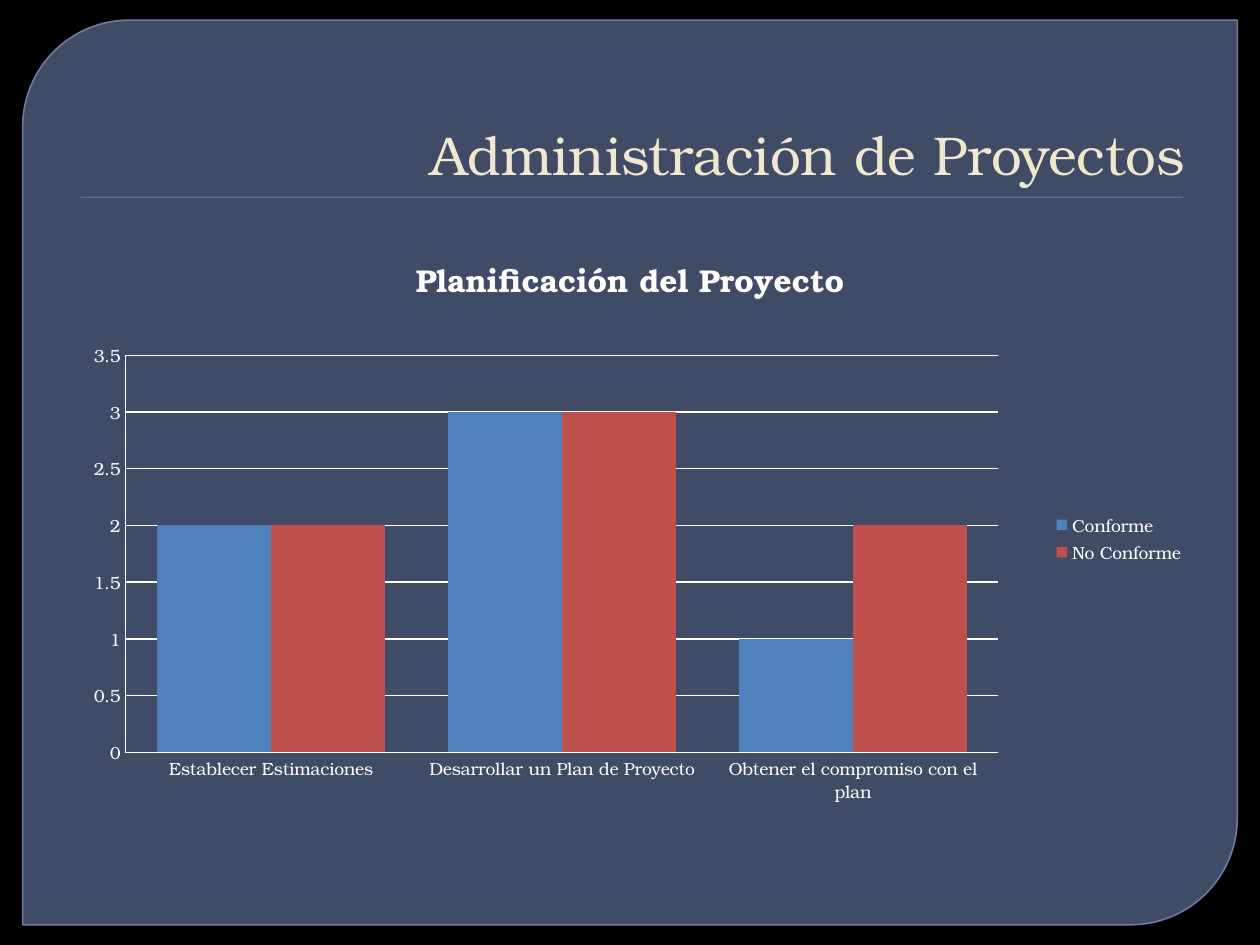
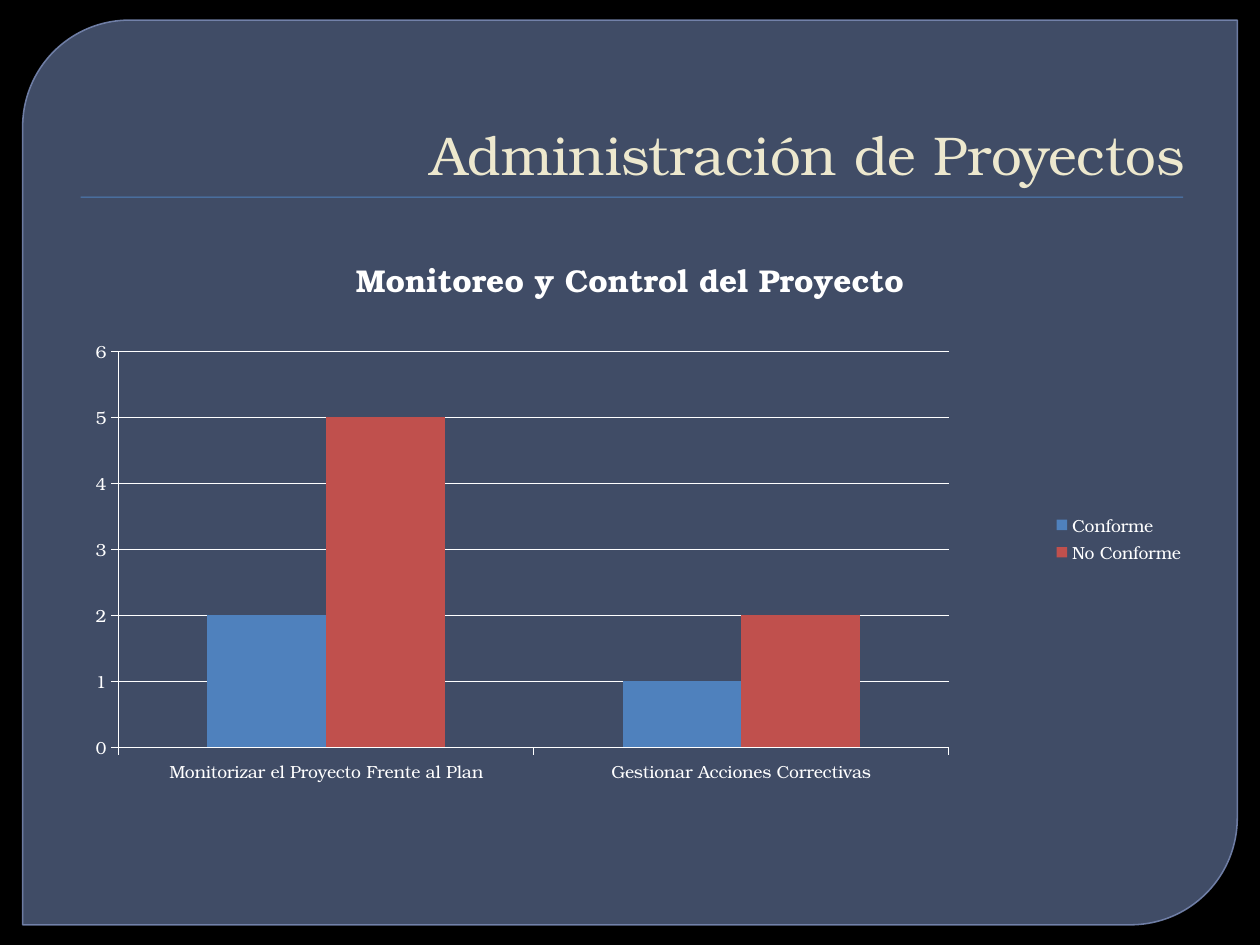
"""Builds two project management slides, each with a clustered column chart."""
import pptx
import pptx.chart.data
import pptx.dml.color
import pptx.enum.chart
import pptx.enum.shapes
import pptx.enum.text
import pptx.oxml
import pptx.oxml.ns
import pptx.util
from pptx.util import Inches, Pt

HEADING = "Administración de Proyectos"
RESULTS = [("Conforme", "4F81BD"), ("No Conforme", "C0504D")]
REVIEWS = [
    dict(
        name="Planificación del Proyecto",
        practices={
            "Establecer Estimaciones": (2, 2),
            "Desarrollar un Plan de Proyecto": (3, 3),
            "Obtener el compromiso con el plan": (1, 2),
        },
        top=3.5, step=0.5, gap=55, ticks="NONE",
        area=dict(x=0.055, y=0.206, w=0.77, h=0.637),
    ),
    dict(
        name="Monitoreo y Control del Proyecto",
        practices={
            "Monitorizar el Proyecto Frente al Plan": (2, 5),
            "Gestionar Acciones Correctivas": (1, 2),
        },
        top=6, step=1, gap=150, ticks="OUTSIDE",
        area=dict(x=0.049, y=0.2, w=0.732, h=0.635),
    ),
]

FONT = "TeX Gyre Bonum"
BLACK, WHITE, CREAM = "000000", "FFFFFF", "EDE8CE"
PANEL, PANEL_EDGE, RULE = "63759D", "7989B3", "4F81BD"
WIDTH, HEIGHT = 10, 7.5
MARGIN = WIDTH / 20
CONTENT_WIDTH = WIDTH - 2 * MARGIN
PANEL_BOX = (0.18, 0.16, 9.64, 7.18)
RULE_BOX = (0.64, 1.56, 8.75, 0.01)
TITLE_BOX = (MARGIN, 0.68, CONTENT_WIDTH, 0.85)
CHART_BOX = (MARGIN, 1.8, CONTENT_WIDTH, 4.95)
RULE_SHADOW = (
    '<a:effectLst %s><a:outerShdw blurRad="12700" dist="12700" dir="5400000">'
    '<a:srgbClr val="000000"><a:alpha val="75000"/></a:srgbClr>'
    '</a:outerShdw></a:effectLst>' % pptx.oxml.ns.nsdecls("a")
)


def rgb(code):
    return pptx.dml.color.RGBColor.from_string(code)


def paint(fill, code, opacity=100):
    fill.solid()
    fill.fore_color.rgb = rgb(code)
    if opacity < 100:
        for color in fill._xPr.iter(pptx.oxml.ns.qn("a:srgbClr")):
            if color.get("val") == code:
                alpha = color.makeelement(pptx.oxml.ns.qn("a:alpha"))
                alpha.set("val", str(opacity * 1000))
                color.append(alpha)


def style(font, size, code, bold=False):
    font.name, font.size, font.bold = FONT, Pt(size), bold
    font.color.rgb = rgb(code)


def add_backdrop(slide, layout):
    kinds = pptx.enum.shapes.MSO_SHAPE
    panel = slide.shapes.add_shape(kinds.ROUND_2_DIAG_RECTANGLE, *map(Inches, PANEL_BOX))
    panel.adjustments[0], panel.adjustments[1] = 0.118, 0
    panel.shadow.inherit = False
    paint(panel.fill, PANEL, 65)
    panel.line.width = Pt(0.87)
    paint(panel.line.fill, PANEL_EDGE, 88)

    rule = slide.shapes.add_shape(kinds.RECTANGLE, *map(Inches, RULE_BOX))
    paint(rule.fill, RULE)
    rule.line.fill.background()
    rule.element.spPr.append(pptx.oxml.parse_xml(RULE_SHADOW))

    for order, part in enumerate((panel, rule)):
        part.element.nvSpPr.cNvPr.set("id", str(101 + order))
        layout.shapes.element.insert(2 + order, part.element)


def add_heading(slide):
    heading = slide.shapes.title
    heading.left, heading.top, heading.width, heading.height = map(Inches, TITLE_BOX)
    frame = heading.text_frame
    frame.auto_size = pptx.enum.text.MSO_AUTO_SIZE.NONE
    frame.vertical_anchor = pptx.enum.text.MSO_ANCHOR.BOTTOM
    line = frame.paragraphs[0]
    line.alignment = pptx.enum.text.PP_ALIGN.RIGHT
    line._p.get_or_add_pPr().set("marL", str(Inches(0.06)))
    run = line.add_run()
    run.text = HEADING
    style(run.font, 31.2, CREAM)


def place_plot(chart, area):
    plot_area = chart.element.chart.plotArea
    for old in plot_area.findall(pptx.oxml.ns.qn("c:layout")):
        plot_area.remove(old)
    sizes = "".join(f'<c:{key} val="{share}"/>' for key, share in area.items())
    plot_area.insert(0, pptx.oxml.parse_xml(
        f'<c:layout {pptx.oxml.ns.nsdecls("c")}><c:manualLayout>'
        '<c:layoutTarget val="inner"/><c:xMode val="edge"/><c:yMode val="edge"/>'
        f'{sizes}</c:manualLayout></c:layout>'))


def add_review_chart(slide, review):
    data = pptx.chart.data.CategoryChartData()
    data.categories = list(review["practices"])
    for (result, _), counts in zip(RESULTS, zip(*review["practices"].values())):
        data.add_series(result, counts)
    chart = slide.shapes.add_chart(
        pptx.enum.chart.XL_CHART_TYPE.COLUMN_CLUSTERED, *map(Inches, CHART_BOX), data).chart
    style(chart.font, 10, WHITE)
    place_plot(chart, review["area"])

    chart.has_title = True
    chart.chart_title.include_in_layout = False
    name = chart.chart_title.text_frame.paragraphs[0].add_run()
    name.text = review["name"]
    style(name.font, 18, WHITE, bold=True)

    chart.has_legend = True
    chart.legend.position = pptx.enum.chart.XL_LEGEND_POSITION.RIGHT
    chart.legend.include_in_layout = False

    counts_axis = chart.value_axis
    counts_axis.minimum_scale, counts_axis.maximum_scale = 0, review["top"]
    counts_axis.major_unit = review["step"]
    counts_axis.has_major_gridlines = True
    for axis in (chart.category_axis, counts_axis):
        axis.major_tick_mark = pptx.enum.chart.XL_TICK_MARK[review["ticks"]]
        axis.minor_tick_mark = pptx.enum.chart.XL_TICK_MARK.NONE
    for part in (chart.category_axis, counts_axis, counts_axis.major_gridlines):
        part.format.line.width = Pt(0.75)
        paint(part.format.line.fill, WHITE)

    columns = chart.plots[0]
    columns.gap_width = review["gap"]
    columns.vary_by_categories = False
    for series, (_, code) in zip(columns.series, RESULTS):
        paint(series.format.fill, code)


def main():
    deck = pptx.Presentation()
    deck.slide_width, deck.slide_height = Inches(WIDTH), Inches(HEIGHT)
    paint(deck.slide_master.background.fill, BLACK)
    layout = deck.slide_layouts.get_by_name("Title Only")
    slides = [deck.slides.add_slide(layout) for _ in REVIEWS]
    add_backdrop(slides[0], layout)
    for slide, review in zip(slides, REVIEWS):
        add_heading(slide)
        add_review_chart(slide, review)
    deck.save("out.pptx")


if __name__ == "__main__":
    main()
